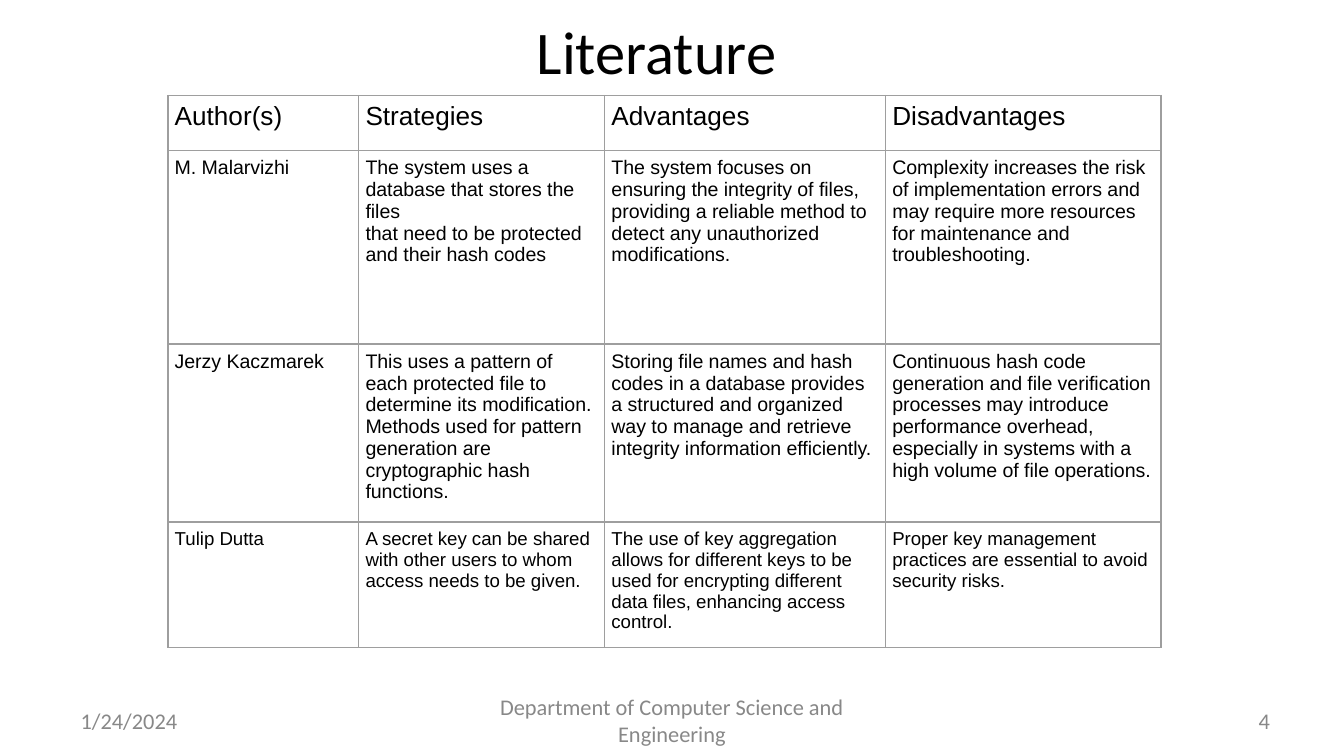
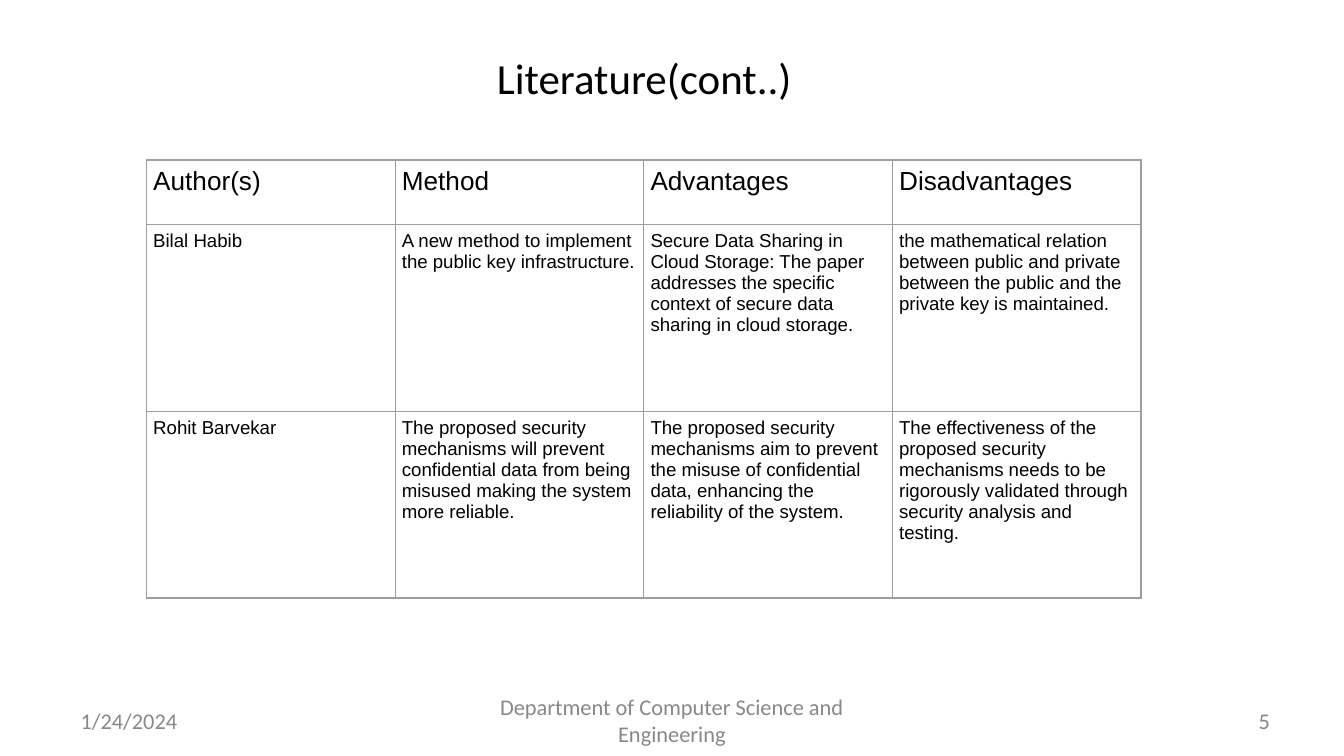
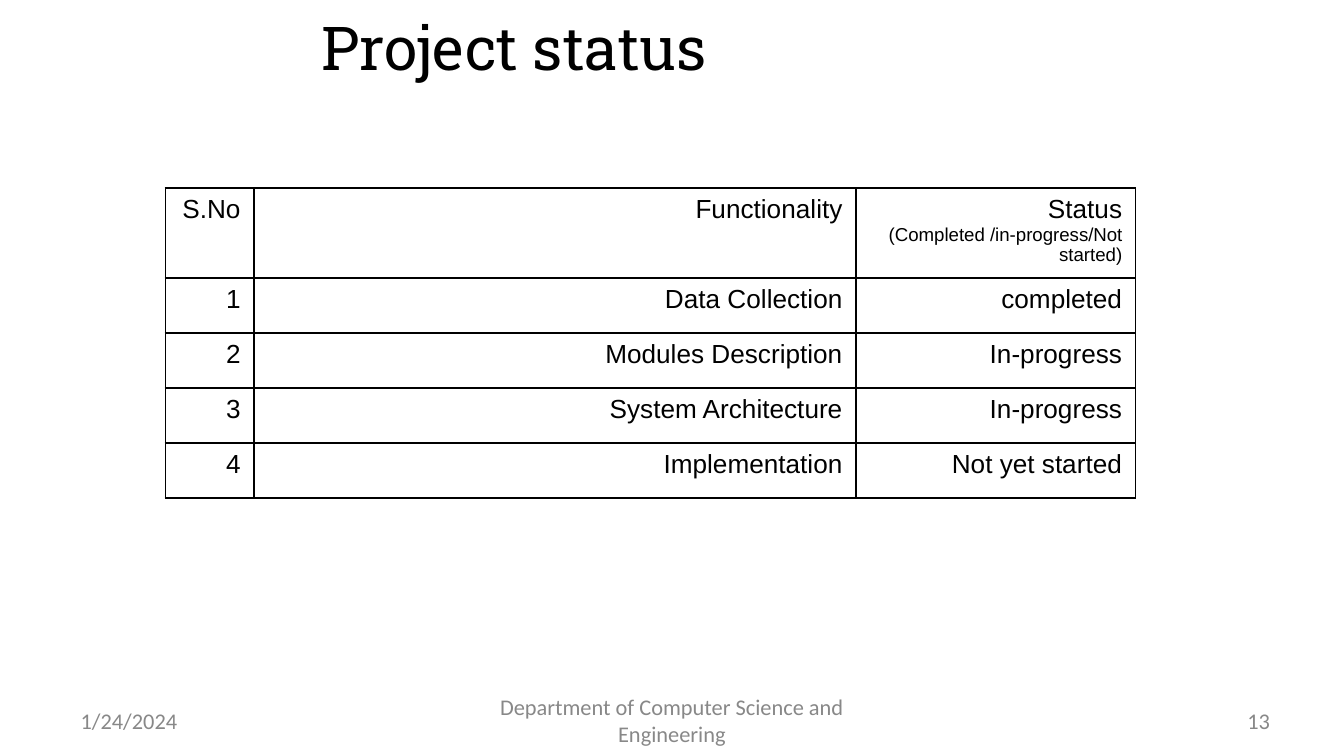
from lxml import etree
from pptx import Presentation
from pptx.dml.color import RGBColor
from pptx.enum import text
from pptx.oxml import ns
from pptx.util import Inches, Pt

COLORS = {"ink": "000000", "footer": "888888", "grid": "9E9E9E"}
LEFT, CENTER, RIGHT = text.PP_ALIGN.LEFT, text.PP_ALIGN.CENTER, text.PP_ALIGN.RIGHT


def write(frame, content, size=14, font="Arial", color="ink", align=LEFT, small=None):
    """Write one paragraph per line; lines after the first may have a small size."""
    for index, line in enumerate(content.split("\n")):
        paragraph = frame.paragraphs[0] if index == 0 else frame.add_paragraph()
        paragraph.alignment = align
        run = paragraph.add_run()
        run.text = line
        run.font.size = Pt(small if small and index else size)
        run.font.name = font
        run.font.color.rgb = RGBColor.from_string(COLORS[color])


def add_box(slide, place, content, wrap=True, grow=False, bottom=0.05, **style):
    """Add a text box with narrow margins and vertically centred text."""
    frame = slide.shapes.add_textbox(*map(Inches, place)).text_frame
    frame.margin_left = frame.margin_right = frame.margin_top = Inches(0.05)
    frame.margin_bottom = Inches(bottom)
    frame.vertical_anchor = text.MSO_ANCHOR.MIDDLE
    frame.word_wrap = wrap
    frame.auto_size = text.MSO_AUTO_SIZE.SHAPE_TO_FIT_TEXT if grow else text.MSO_AUTO_SIZE.NONE
    write(frame, content, **style)


# Look of the two kinds of table
literature_look = {"border": "grid", "weight": 0.75, "inset": 0.05, "align": LEFT}
status_look = {"border": "ink", "weight": 1, "inset": 0.1, "align": RIGHT}

# Content of each slide
pages = [
    {
        "number": "4",
        "title": "Literature ", "title_at": (1.59, 0.03),
        "title_style": {"size": 32.4, "font": "Calibri"},
        "table_at": (1.25, 0.71, 7.39, 4.1), "look": literature_look,
        "columns": [1.42, 1.83, 2.09, 2.05],
        "heights": [0.41, 1.44, 0.41, 0.41],
        "sizes": [14, 10.5, 10.5, 10],
        "rows": [
            ["Author(s)", "Strategies", "Advantages", "Disadvantages"],
            ["M. Malarvizhi",
             "The system uses a database that stores the files\n"
             "that need to be protected and their hash codes",
             "The system focuses on ensuring the integrity of files, providing a reliable "
             "method to detect any unauthorized modifications.",
             "Complexity increases the risk of implementation errors and may require more "
             "resources for maintenance and troubleshooting."],
            ["Jerzy Kaczmarek",
             "This uses a pattern of each protected file to determine its modification. "
             "Methods used for pattern generation are cryptographic hash functions.",
             "Storing file names and hash codes in a database provides a structured and "
             "organized way to manage and retrieve integrity information efficiently.",
             "Continuous hash code generation and file verification processes may introduce "
             "performance overhead, especially in systems with a high volume of file "
             "operations."],
            ["Tulip Dutta",
             "A secret key can be shared with other users to whom access needs to be given.",
             "The use of key aggregation allows for different keys to be used for encrypting "
             "different data files, enhancing access control.",
             "Proper key management practices are essential to avoid security risks."],
        ],
    },
    {
        "number": "5",
        "title": "Literature(cont..)", "title_at": (1.45, 0.33),
        "title_style": {"size": 23, "font": "Calibri", "bottom": 0.25},
        "table_at": (1.09, 1.19, 7.41, 3.25), "look": literature_look,
        "columns": [1.85] * 4,
        "heights": [0.48, 1.39, 1.39],
        "sizes": [14, 10, 10],
        "rows": [
            ["Author(s)", "Method", "Advantages", "Disadvantages"],
            ["Bilal Habib",
             "A new method to implement the public key infrastructure.",
             "Secure Data Sharing in Cloud Storage: The paper addresses the specific context "
             "of secure data sharing in cloud storage.",
             "the mathematical relation between public and private between the public and "
             "the private key is maintained."],
            ["Rohit Barvekar",
             "The proposed security mechanisms will prevent confidential data from being "
             "misused making the system more reliable.",
             "The proposed security mechanisms aim to prevent the misuse of confidential "
             "data, enhancing the reliability of the system.",
             "The effectiveness of the proposed security mechanisms needs to be rigorously "
             "validated through security analysis and testing."],
        ],
    },
    {
        "number": "13",
        "title": "Project status", "title_at": (0.48, 0),
        "title_style": {"size": 32.4, "font": "Roboto Slab"},
        "table_at": (1.23, 1.4, 7.22, 2.26), "look": status_look,
        "columns": [0.66, 4.48, 2.08],
        "heights": [0.41] * 5,
        "sizes": [14] * 5,
        "rows": [
            ["S.No", "Functionality", "Status\n(Completed /in-progress/Not started)"],
            ["1", "Data Collection", "completed"],
            ["2", "Modules Description", "In-progress"],
            ["3", "System Architecture", "In-progress"],
            ["4", "Implementation", "Not yet started"],
        ],
    },
]

# Widescreen deck, 16 to 9
deck = Presentation()
deck.slide_width = Inches(10)
deck.slide_height = deck.slide_width * 9 // 16
footer_style = {"size": 12, "font": "Calibri", "color": "footer", "grow": True}

for page in pages:
    slide = deck.slides.add_slide(deck.slide_layouts[6])

    # Footer: department, page number, date
    add_box(slide, (3.47, 5.12, 3.06, 0.48), "Department of Computer Science and Engineering",
            align=CENTER, **footer_style)
    number_width = 0.11 + 0.09 * len(page["number"])
    add_box(slide, (9.5 - number_width, 5.23, number_width, 0.27), page["number"],
            wrap=False, align=RIGHT, **footer_style)
    add_box(slide, (0.55, 5.23, 2.23, 0.27), "1/24/2024", **footer_style)

    # Title
    add_box(slide, (*page["title_at"], 6.69, 0.69), page["title"], align=CENTER,
            **page["title_style"])

    # Table
    columns, heights, look = page["columns"], page["heights"], page["look"]
    table_frame = slide.shapes.add_table(len(heights), len(columns),
                                         *map(Inches, page["table_at"]))
    table = table_frame.table
    table.first_row = table.horz_banding = False
    for column, width in zip(table.columns, columns):
        column.width = Inches(width)
    for row, height, size, entries in zip(table.rows, heights, page["sizes"], page["rows"]):
        row.height = Inches(height)
        for cell, entry in zip(row.cells, entries):
            write(cell.text_frame, entry, size=size, align=look["align"],
                  small=10 if look is status_look else None)
            cell.margin_left = cell.margin_right = Inches(look["inset"])
            cell.margin_top = cell.margin_bottom = Inches(0.05)

            # Borders come before the fill in the cell properties
            properties = cell._tc.get_or_add_tcPr()
            for side in ("a:lnL", "a:lnR", "a:lnT", "a:lnB"):
                border = etree.SubElement(properties, ns.qn(side), w=str(Pt(look["weight"])))
                paint = etree.SubElement(border, ns.qn("a:solidFill"))
                etree.SubElement(paint, ns.qn("a:srgbClr"), val=COLORS[look["border"]])
            cell.fill.background()

    # Rows are minimum heights; the frame keeps the room their text takes up
    table_frame.width, table_frame.height = map(Inches, page["table_at"][2:])

deck.save("out.pptx")
